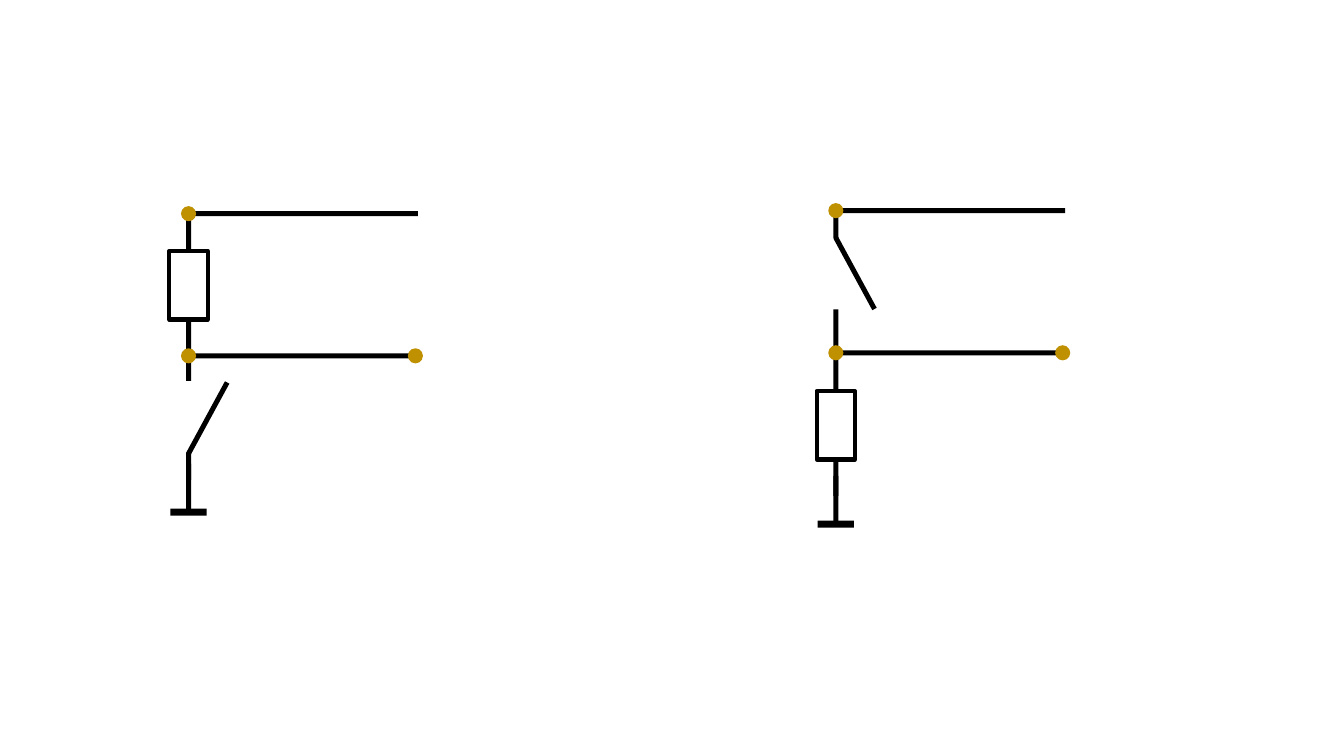
from dataclasses import dataclass

from pptx import Presentation
from pptx.dml.color import RGBColor
from pptx.enum.shapes import MSO_SHAPE
from pptx.util import Inches, Pt

BLACK = "000000"
GOLD = "BF9000"
WIRE = 0.05
WIRE_LENGTH = 2.25
TAP_DROP = 1.41
LEAD = 0.36
DOT = 0.15
RESISTOR_WIDTH, RESISTOR_HEIGHT = 0.38, 0.68
BLADE_SHIFT = 0.19
BLADE_LENGTH = 0.81


@dataclass
class Switch:
    contacts: list[tuple[float, float]]
    blade_y: float
    blade_angle: float


@dataclass
class Circuit:
    axis: float
    top: float
    resistor_top: float
    switch: Switch
    ground: float


CIRCUITS = [
    Circuit(1.87, 2.12, 2.49, Switch([(3.53, 0.25), (4.49, 0.27)], 4.15, 28.5), 5.08),
    Circuit(8.29, 2.09, 3.88, Switch([(2.09, 0.27), (3.07, 0.37)], 2.71, 151.5), 5.2),
]


def color(value: str) -> RGBColor:
    return RGBColor.from_string(value)


def add_centred(s, kind, x: float, y: float, width: float, height: float):
    sp = s.shapes.add_shape(
        kind, Inches(x - width / 2), Inches(y - height / 2), Inches(width), Inches(height)
    )
    sp.shadow.inherit = False
    return sp


def add_bar(s, x: float, y: float, length: float, angle: float = 0, thickness: float = WIRE) -> None:
    sp = add_centred(s, MSO_SHAPE.RECTANGLE, x, y, thickness, length)
    sp.rotation = angle
    sp.fill.solid()
    sp.fill.fore_color.rgb = color(BLACK)
    sp.line.fill.background()


def add_lead(s, x: float, top: float, length: float) -> None:
    add_bar(s, x, top + length / 2, length)


def add_dot(s, x: float, y: float) -> None:
    sp = add_centred(s, MSO_SHAPE.OVAL, x, y, DOT, DOT)
    sp.fill.solid()
    sp.fill.fore_color.rgb = color(GOLD)
    sp.line.fill.background()


def add_resistor(s, x: float, top: float) -> None:
    sp = add_centred(
        s, MSO_SHAPE.RECTANGLE, x, top + RESISTOR_HEIGHT / 2, RESISTOR_WIDTH, RESISTOR_HEIGHT
    )
    sp.fill.background()
    sp.line.color.rgb = color(BLACK)
    sp.line.width = Pt(3)
    for lead_top in (top - LEAD, top + RESISTOR_HEIGHT):
        add_lead(s, x, lead_top, LEAD)


def add_switch(s, x: float, switch: Switch) -> None:
    for top, length in switch.contacts:
        add_lead(s, x, top, length)
    add_bar(s, x + BLADE_SHIFT, switch.blade_y, BLADE_LENGTH, switch.blade_angle)


def add_ground(s, x: float, y: float) -> None:
    add_bar(s, x, y, LEAD, 270, 0.07)
    add_lead(s, x, y - 0.48, 0.48)


def add_circuit(s, circuit: Circuit) -> None:
    x, top, tap = circuit.axis, circuit.top, circuit.top + TAP_DROP
    add_switch(s, x, circuit.switch)
    add_bar(s, x + 1.13, tap, WIRE_LENGTH, 90)
    add_bar(s, x + 1.15, top, WIRE_LENGTH, 270)
    add_resistor(s, x, circuit.resistor_top)
    add_ground(s, x, circuit.ground)
    for dot_x, dot_y in ((x, top), (x, tap), (x + WIRE_LENGTH, tap)):
        add_dot(s, dot_x, dot_y)


def main() -> None:
    prs = Presentation()
    prs.slide_width, prs.slide_height = Inches(13.33), Inches(7.5)
    s = prs.slides.add_slide(prs.slide_layouts[6])
    for circuit in CIRCUITS:
        add_circuit(s, circuit)
    prs.save("out.pptx")


if __name__ == "__main__":
    main()
